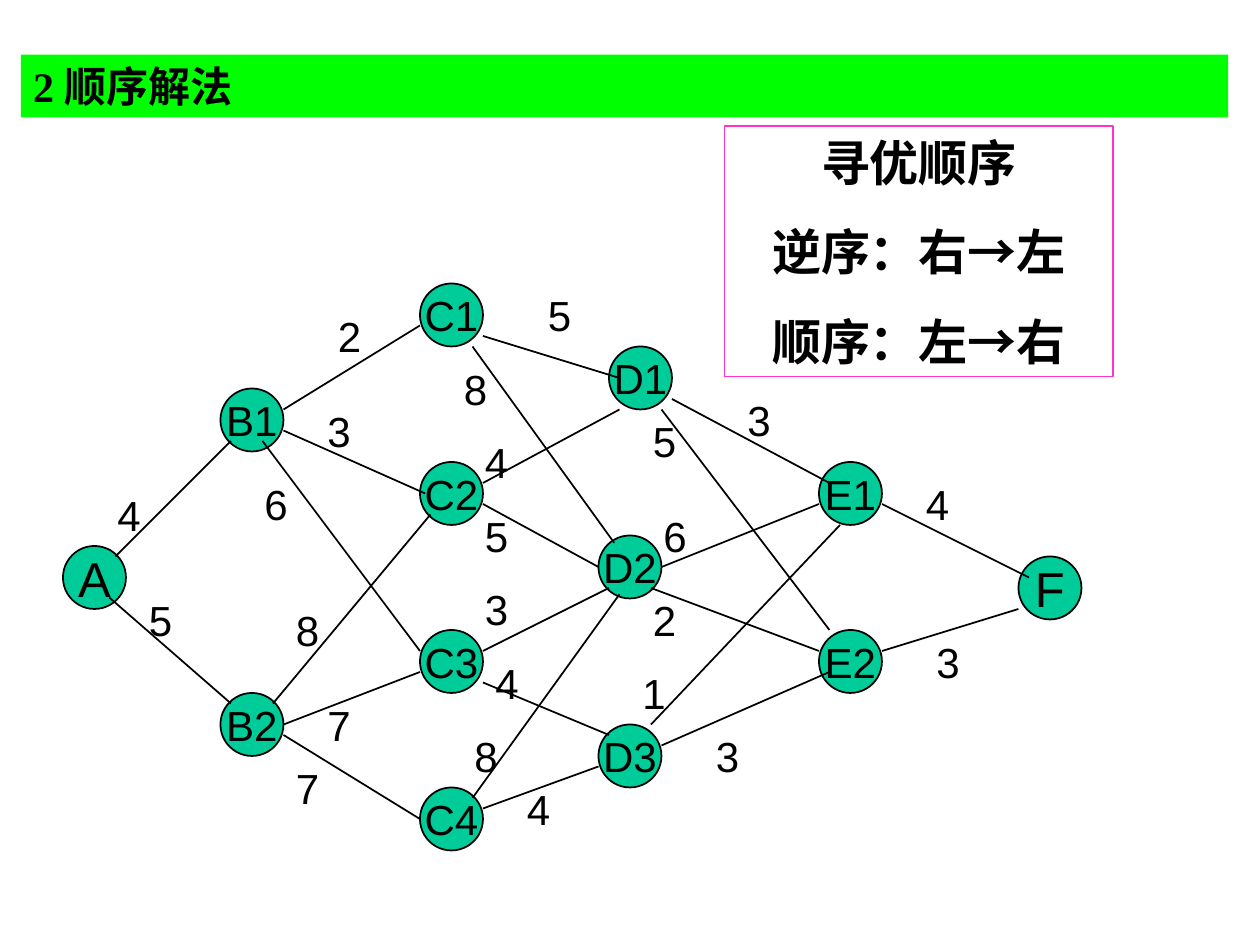
from lxml.etree import SubElement
from pptx import Presentation
from pptx.dml.color import RGBColor
from pptx.enum.shapes import MSO_CONNECTOR, MSO_SHAPE
from pptx.enum.text import MSO_ANCHOR, PP_ALIGN
from pptx.oxml.ns import qn
from pptx.util import Cm, Pt

GRID_CM = 2.54 / 12
NODE_SIZE = 6
BLACK = "000000"
LATIN = "Arial"
SERIF = "Times New Roman"

NODES = {
    "A": (6, 52), "B1": (21, 37), "B2": (21, 66),
    "C1": (40, 27), "C2": (40, 44), "C3": (40, 60), "C4": (40, 75),
    "D1": (58, 33), "D2": (57, 51), "D3": (57, 69),
    "E1": (78, 44), "E2": (78, 60), "F": (97, 53),
}

# start, end, weight, label corner
EDGES = [
    ((11, 53), (22, 42), "4", (10, 46)),
    ((10.4, 56.9), (22, 67), "5", (13, 56)),
    ((27, 39), (40, 31), "2", (31, 29)),
    ((27, 41), (40.5, 47), "3", (30, 38)),
    ((25, 42), (40, 62), "6", (24, 45)),
    ((26, 67), (41, 49), "8", (27, 57)),
    ((27, 69), (40, 64), "7", (30, 66)),
    ((27, 70), (40, 78), "7", (27, 72)),
    ((46, 32), (59, 36), "5", (51, 27)),
    ((45, 33), (58.5, 51.7), "8", (43, 34)),
    ((46, 46), (59, 39), "4", (45, 41)),
    ((46, 48), (57, 54), "5", (45, 48)),
    ((46, 62), (58, 56), "3", (45, 55)),
    ((46, 65), (58, 70), "4", (46, 62)),
    ((45, 76), (59, 56.6), "8", (44, 69)),
    ((46, 77), (57, 73), "4", (49, 74)),
    ((64, 38), (79, 46), "3", (70, 37)),
    ((63, 39), (79, 60), "5", (61, 39)),
    ((63, 54), (78, 48), "6", (62, 48)),
    ((62, 56), (78, 62), "2", (61, 56)),
    ((62, 69), (80, 50), "1", (60, 63)),
    ((63, 71), (79, 64), "3", (67, 69)),
    ((84, 48), (98, 55), "4", (87, 45)),
    ((84, 62), (97, 58), "3", (88, 60)),
]


def color(value):
    return RGBColor.from_string(value)


def grid(*values):
    return [Cm(value * GRID_CM) for value in values]


def apply_format(target, values):
    for name, value in values.items():
        setattr(target, name, value)


def add_run(paragraph, text, font, size, bold=False):
    run = paragraph.add_run()
    run.text = text
    apply_format(run.font, {"name": font, "size": Pt(size), "bold": bold})
    run.font.color.rgb = color(BLACK)


def add_filled_shape(slide, kind, box, fill, line=None, width=1):
    shape = slide.shapes.add_shape(kind, *box)
    shape.shadow.inherit = False
    shape.fill.solid()
    shape.fill.fore_color.rgb = color(fill)
    if line:
        shape.line.color.rgb = color(line)
        shape.line.width = Pt(width)
    else:
        shape.line.fill.background()
    return shape


def add_title(slide, text):
    box = Cm(0.42), Cm(1.1), Cm(24.34), Cm(1.27)
    shape = add_filled_shape(slide, MSO_SHAPE.RECTANGLE, box, "00FF00")
    shape.text_frame.vertical_anchor = MSO_ANCHOR.TOP
    paragraph = shape.text_frame.paragraphs[0]
    paragraph.alignment = PP_ALIGN.LEFT
    add_run(paragraph, text, SERIF, 24, bold=True)


def add_node(slide, name, position):
    box = grid(*position, NODE_SIZE, NODE_SIZE)
    shape = add_filled_shape(slide, MSO_SHAPE.OVAL, box, "00CC99", BLACK)
    apply_format(shape.text_frame, {"word_wrap": False, "vertical_anchor": MSO_ANCHOR.MIDDLE})
    paragraph = shape.text_frame.paragraphs[0]
    paragraph.alignment = PP_ALIGN.CENTER
    add_run(paragraph, name, LATIN, 28 if len(name) == 1 else 24)


def add_edge(slide, start, end):
    connector = slide.shapes.add_connector(MSO_CONNECTOR.STRAIGHT, *grid(*start, *end))
    connector.line.color.rgb = color(BLACK)
    connector.line.width = Pt(1)
    SubElement(connector._element.spPr, qn("a:effectLst"))


def add_weight(slide, text, position):
    shape = slide.shapes.add_textbox(*grid(*position, NODE_SIZE, NODE_SIZE))
    shape.text_frame.word_wrap = True
    add_run(shape.text_frame.paragraphs[0], text, LATIN, 24)


def add_order_box(slide, heading, directions):
    box = Cm(14.61), Cm(2.54), Cm(7.83), Cm(5.05)
    shape = add_filled_shape(slide, MSO_SHAPE.RECTANGLE, box, "FFFFFF", "FF33CC", 0.75)
    frame = shape.text_frame
    frame.vertical_anchor = MSO_ANCHOR.TOP
    paragraph = frame.paragraphs[0]
    paragraph.alignment = PP_ALIGN.CENTER
    add_run(paragraph, heading, SERIF, 28, bold=True)
    for origin, target in directions:
        paragraph = frame.add_paragraph()
        apply_format(paragraph, {"alignment": PP_ALIGN.CENTER, "space_before": Pt(17.5)})
        for text, font in ((origin, SERIF), ("→", LATIN), (target, SERIF)):
            add_run(paragraph, text, font, 28, bold=True)


def main():
    presentation = Presentation()
    apply_format(presentation, {"slide_width": Cm(25.4), "slide_height": Cm(19.05)})
    slide = presentation.slides.add_slide(presentation.slide_layouts[6])
    add_title(slide, "2 顺序解法")
    for name, position in NODES.items():
        add_node(slide, name, position)
    for start, end, weight, position in EDGES:
        add_edge(slide, start, end)
        add_weight(slide, weight, position)
    add_order_box(slide, "寻优顺序", [("逆序：右", "左"), ("顺序：左", "右")])
    presentation.save("out.pptx")


if __name__ == "__main__":
    main()
